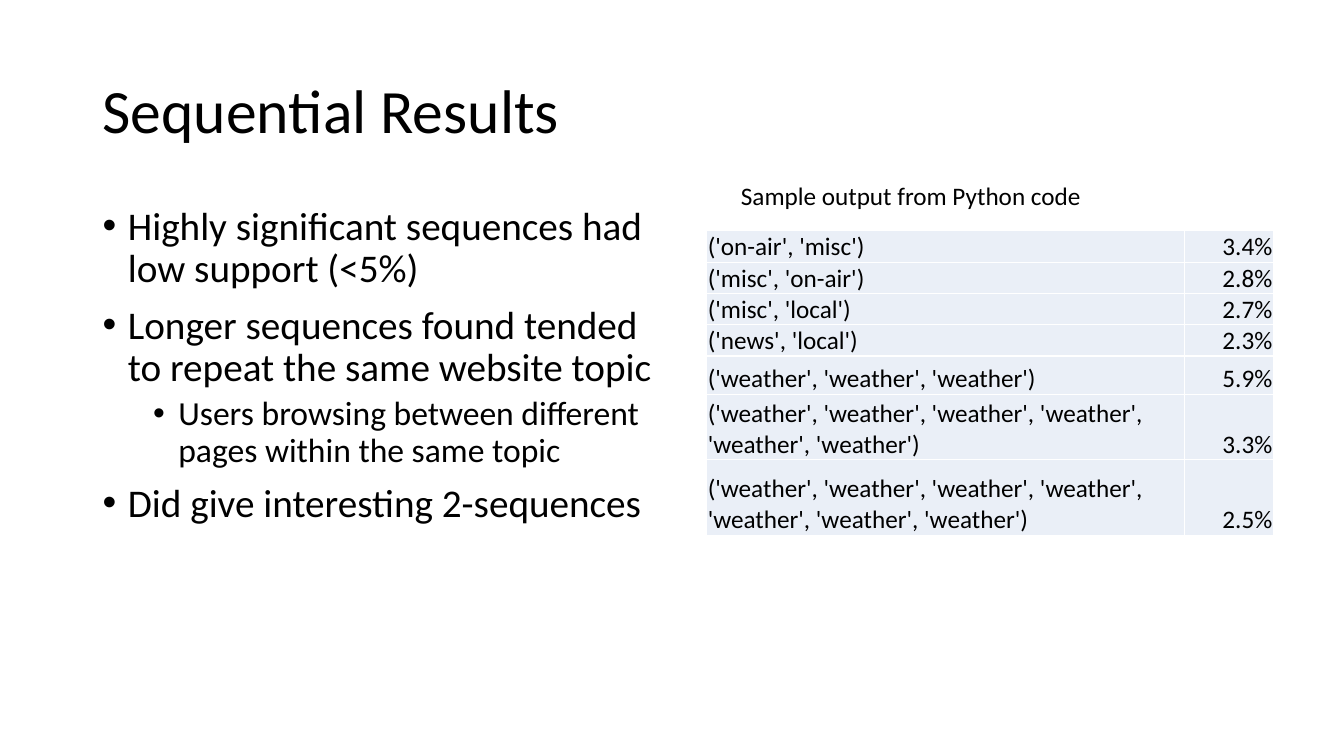
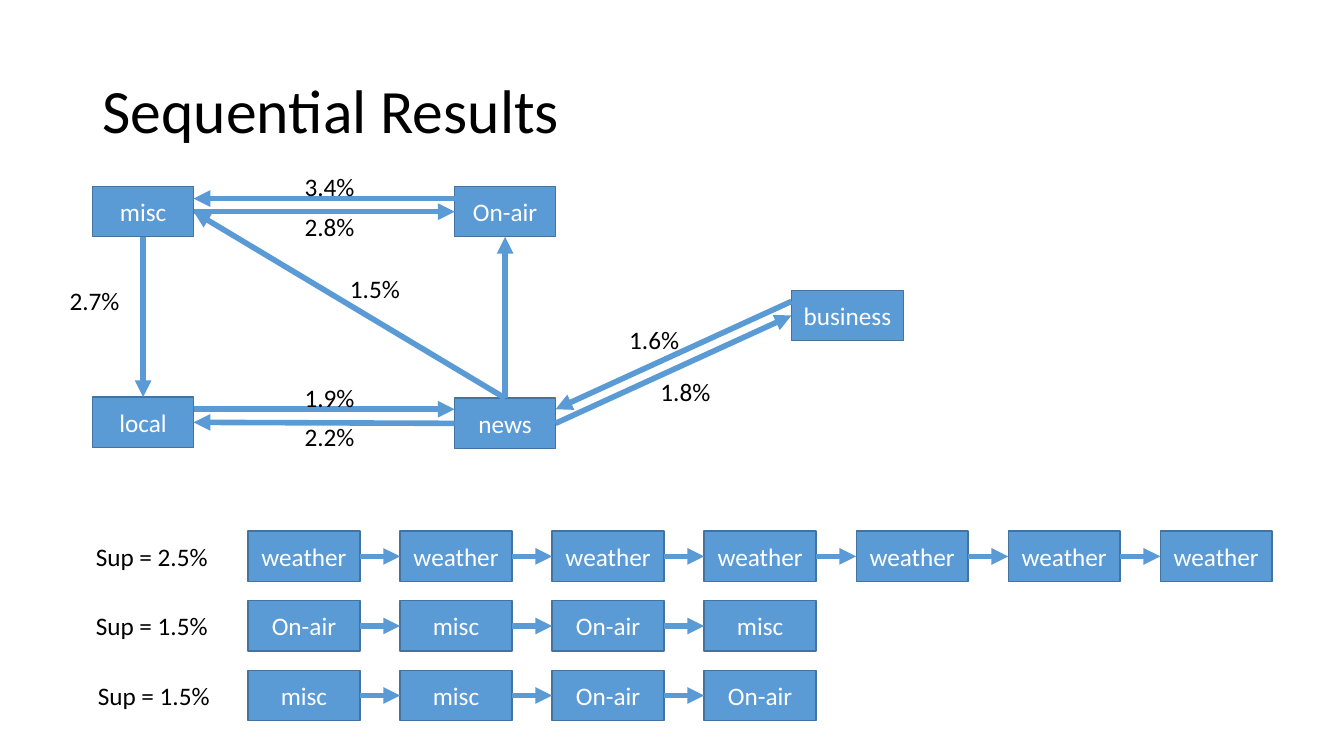
"""Build two slides on sequential results: findings and topic flows."""
from dataclasses import dataclass
from itertools import pairwise

from lxml.etree import SubElement
from pptx import Presentation
from pptx.dml.color import RGBColor
from pptx.enum.shapes import MSO_CONNECTOR, MSO_SHAPE
from pptx.enum.text import MSO_ANCHOR, PP_ALIGN
from pptx.oxml.ns import qn
from pptx.util import Inches, Pt


@dataclass(frozen=True)
class Theme:
    """Colours, font and type sizes shared by the slides."""
    font: str = "Calibri"
    text: RGBColor = RGBColor(0, 0, 0)
    white: RGBColor = RGBColor(255, 255, 255)
    accent: RGBColor = RGBColor(0x5B, 0x9B, 0xD5)
    outline: RGBColor = RGBColor(0x43, 0x73, 0x9E)
    cell: RGBColor = RGBColor(0xEA, 0xEF, 0xF7)
    title_size: int = 44
    bullet_sizes: tuple = (28, 24)
    body_size: int = 18
    arrow_width: int = 4
    border_width: int = 1


THEME = Theme()
TITLE = "Sequential Results"
TOP, LEFT, BOTTOM, RIGHT = range(4)
BOX_HEIGHT = 0.5
STEP_WIDTH = 1.11

FINDINGS = [
    (0, "Highly significant sequences had low support (<5%) "),
    (0, "Longer sequences found tended to repeat the same website topic"),
    (1, "Users browsing between different pages within the same topic"),
    (0, "Did give interesting 2-sequences"),
]

SEQUENCES = [
    (("on-air", "misc"), "3.4%", 0.27),
    (("misc", "on-air"), "2.8%", 0.27),
    (("misc", "local"), "2.7%", 0.27),
    (("news", "local"), "2.3%", 0.27),
    (("weather",) * 3, "5.9%", 0.38),
    (("weather",) * 6, "3.3%", 0.65),
    (("weather",) * 7, "2.5%", 0.75),
]

TOPICS = [
    ("misc", 0.92, 1.85, 1),
    ("business", 7.85, 2.88, STEP_WIDTH),
    ("local", 0.92, 3.94, 1),
    ("news", 4.51, 3.95, 1),
    ("On-air", 4.51, 1.85, 1),
]

LINKS = [
    ("misc", BOTTOM, "local", TOP),
    ("news", TOP, "On-air", BOTTOM),
    ("news", TOP, "misc", RIGHT),
    ("misc", RIGHT, "On-air", LEFT),
    ("news", LEFT, "local", RIGHT),
    ("news", RIGHT, "business", LEFT),
]

OFFSET_ARROWS = [
    ((4.51, 1.97), (1.92, 1.97)),
    ((1.92, 4.06), (4.51, 4.06)),
    ((7.85, 2.99), (5.51, 4.06)),
]

RATES = [
    ("2.7%", 0.69, 2.83),
    ("2.8%", 3.02, 2.1),
    ("2.2%", 3.02, 4.18),
    ("1.9%", 3.02, 3.79),
    ("3.4%", 3.02, 1.7),
    ("1.8%", 6.55, 3.73),
    ("1.6%", 6.24, 3.22),
    ("1.5%", 3.47, 2.71),
]

CHAINS = [
    ("Sup = 2.5%", 0.95, ["weather"] * 7),
    ("Sup = 1.5%", 0.95, ["On-air", "misc", "On-air", "misc"]),
    ("Sup = 1.5%", 0.97, ["misc", "misc", "On-air", "On-air"]),
]


def style_paragraph(paragraph, size, color=THEME.text, align=PP_ALIGN.LEFT):
    """Set the font and alignment of a paragraph."""
    paragraph.font.name = THEME.font
    paragraph.font.size = Pt(size)
    paragraph.font.color.rgb = color
    paragraph.alignment = align


def add_text_frame(slide, left, top, width, height):
    """Add a wrapping text box and return its text frame."""
    shape = slide.shapes.add_textbox(
        Inches(left), Inches(top), Inches(width), Inches(height))
    shape.text_frame.word_wrap = True
    return shape.text_frame


def add_title(slide):
    """Add the shared slide title."""
    frame = add_text_frame(slide, 0.92, 0.4, 11.5, 1.45)
    frame.vertical_anchor = MSO_ANCHOR.MIDDLE
    paragraph = frame.paragraphs[0]
    paragraph.text = TITLE
    paragraph.line_spacing = 0.9
    style_paragraph(paragraph, THEME.title_size)


def add_bullets(slide, items):
    """Add a bulleted list of (level, text) items."""
    frame = add_text_frame(slide, 0.92, 2, 5.72, 5.14)
    for index, (level, text) in enumerate(items):
        paragraph = frame.add_paragraph() if index else frame.paragraphs[0]
        paragraph.text = text
        paragraph.level = level
        paragraph.line_spacing = 0.9
        paragraph.space_before = Pt(5 if level else 10)
        style_paragraph(paragraph, THEME.bullet_sizes[level])
        properties = paragraph._p.get_or_add_pPr()
        properties.set("marL", str(Inches(0.25 + 0.5 * level)))
        properties.set("indent", str(Inches(-0.25)))
        SubElement(properties, qn("a:buFont"), typeface="Arial")
        SubElement(properties, qn("a:buChar"), char="•")


def add_label(slide, text, left, top, width):
    """Add a small label without insets."""
    frame = add_text_frame(slide, left, top, width, 0.3)
    frame.margin_left = frame.margin_right = 0
    frame.margin_top = frame.margin_bottom = 0
    frame.text = text
    style_paragraph(frame.paragraphs[0], THEME.body_size)


def fill_cell(cell, text, align):
    """Write a bordered and filled table cell."""
    cell.text = text
    cell.vertical_anchor = MSO_ANCHOR.BOTTOM
    cell.margin_left = cell.margin_right = cell.margin_top = Inches(0.01)
    cell.margin_bottom = 0
    style_paragraph(cell.text_frame.paragraphs[0], THEME.body_size, align=align)
    properties = cell._tc.get_or_add_tcPr()
    for side in ("a:lnL", "a:lnR", "a:lnT", "a:lnB"):
        border = SubElement(
            properties, qn(side), w=str(Pt(THEME.border_width)))
        fill = SubElement(border, qn("a:solidFill"))
        SubElement(fill, qn("a:srgbClr"), val=str(THEME.white))
    cell.fill.solid()
    cell.fill.fore_color.rgb = THEME.cell


def add_sequence_table(slide, sequences):
    """Add the table of sequences and their support."""
    height = sum(row_height for _, _, row_height in sequences)
    table = slide.shapes.add_table(
        len(sequences), 2, Inches(7.01), Inches(2.29),
        Inches(5.62), Inches(height)).table
    table.first_row = table.horz_banding = False
    table.columns[0].width = Inches(4.74)
    table.columns[1].width = Inches(0.88)
    for index, (topics, support, row_height) in enumerate(sequences):
        table.rows[index].height = Inches(row_height)
        fill_cell(table.cell(index, 0), str(topics), PP_ALIGN.LEFT)
        fill_cell(table.cell(index, 1), support, PP_ALIGN.RIGHT)


def add_box(slide, text, left, top, width):
    """Add a topic box."""
    shape = slide.shapes.add_shape(
        MSO_SHAPE.RECTANGLE, Inches(left), Inches(top),
        Inches(width), Inches(BOX_HEIGHT))
    shape.shadow.inherit = False
    shape.fill.solid()
    shape.fill.fore_color.rgb = THEME.accent
    shape.line.color.rgb = THEME.outline
    shape.line.width = Pt(THEME.border_width)
    frame = shape.text_frame
    frame.text = text
    frame.vertical_anchor = MSO_ANCHOR.MIDDLE
    style_paragraph(
        frame.paragraphs[0], THEME.body_size, THEME.white, PP_ALIGN.CENTER)
    return shape


def add_arrow(slide, start=(0, 0), end=(0, 0)):
    """Add an arrow between two points and return it."""
    connector = slide.shapes.add_connector(
        MSO_CONNECTOR.STRAIGHT, *map(Inches, start + end))
    connector.line.color.rgb = THEME.accent
    connector.line.width = Pt(THEME.arrow_width)
    SubElement(connector.line._get_or_add_ln(), qn("a:tailEnd"), type="triangle")
    SubElement(connector._element.spPr, qn("a:effectLst"))
    return connector


def link_boxes(slide, source, source_side, target, target_side):
    """Join the sides of two boxes with an attached arrow."""
    connector = add_arrow(slide)
    connector.begin_connect(source, source_side)
    connector.end_connect(target, target_side)


def add_topic_graph(slide):
    """Add the topics, the arrows between them and their rates."""
    boxes = {name: add_box(slide, name, left, top, width)
             for name, left, top, width in TOPICS}
    for source, source_side, target, target_side in LINKS:
        link_boxes(slide, boxes[source], source_side, boxes[target], target_side)
    for start, end in OFFSET_ARROWS:
        add_arrow(slide, start, end)
    for text, left, top in RATES:
        add_label(slide, text, left, top, 0.88)


def add_chain(slide, top, support, label_left, topics):
    """Add one labelled row of linked steps."""
    add_label(slide, support, label_left, top + 0.1, 1.51)
    boxes = [add_box(slide, topic, 2.46 + 1.508 * index, top, STEP_WIDTH)
             for index, topic in enumerate(topics)]
    for source, target in pairwise(boxes):
        link_boxes(slide, source, RIGHT, target, LEFT)


def build_findings_slide(slide):
    """Fill the slide with findings and sample output."""
    add_title(slide)
    add_bullets(slide, FINDINGS)
    add_sequence_table(slide, SEQUENCES)
    caption = add_text_frame(slide, 7.25, 1.74, 4.29, 0.4)
    caption.text = "Sample output from Python code"
    style_paragraph(caption.paragraphs[0], THEME.body_size)


def build_flow_slide(slide):
    """Fill the slide with the topic graph and the chains."""
    add_title(slide)
    add_topic_graph(slide)
    for index, (support, label_left, topics) in enumerate(CHAINS):
        add_chain(slide, 5.27 + 0.69 * index, support, label_left, topics)


def main():
    """Create and save the presentation."""
    presentation = Presentation()
    presentation.slide_width = Inches(13.33)
    presentation.slide_height = Inches(7.5)
    blank = presentation.slide_layouts[6]
    for build in (build_findings_slide, build_flow_slide):
        build(presentation.slides.add_slide(blank))
    presentation.save("out.pptx")


main()
